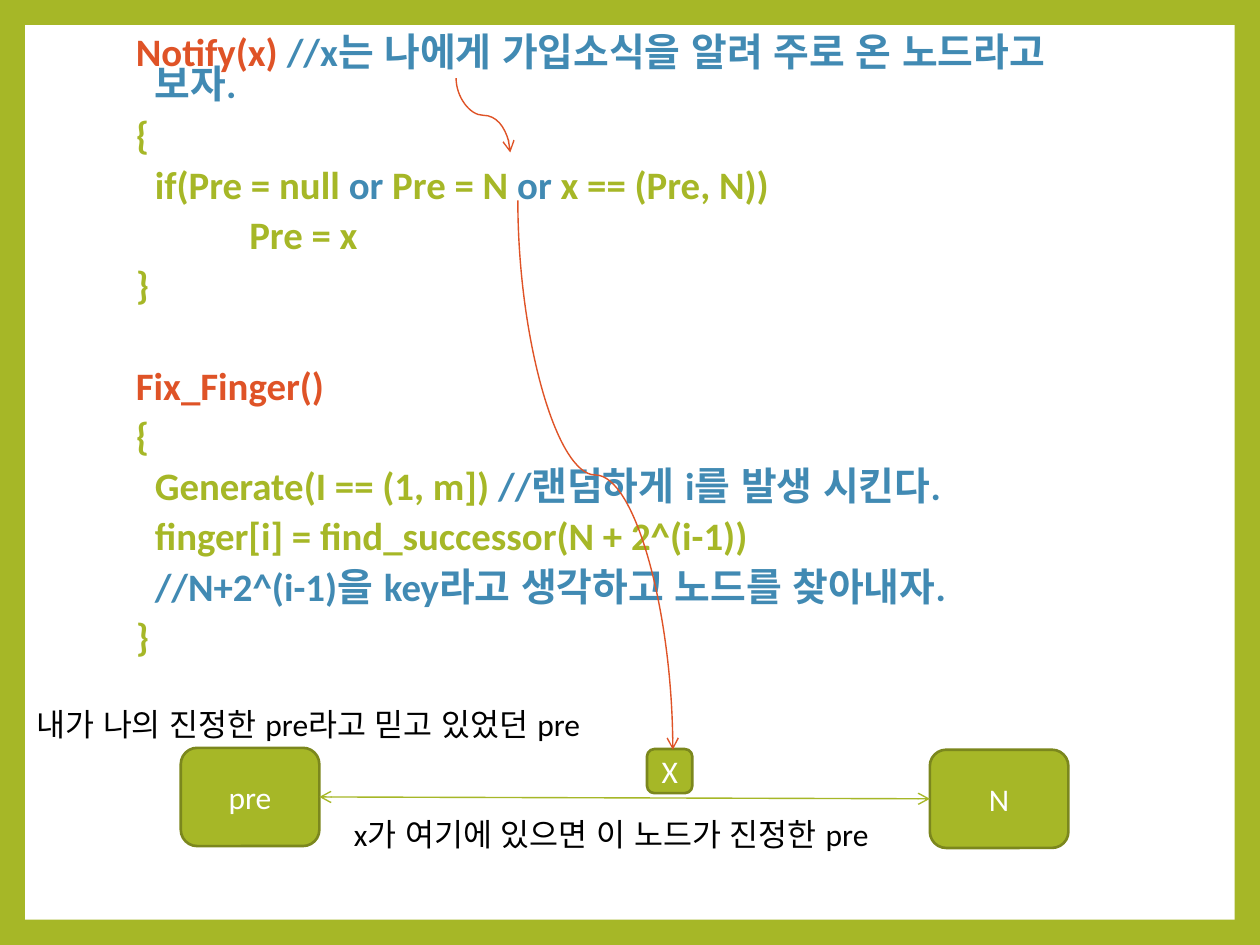
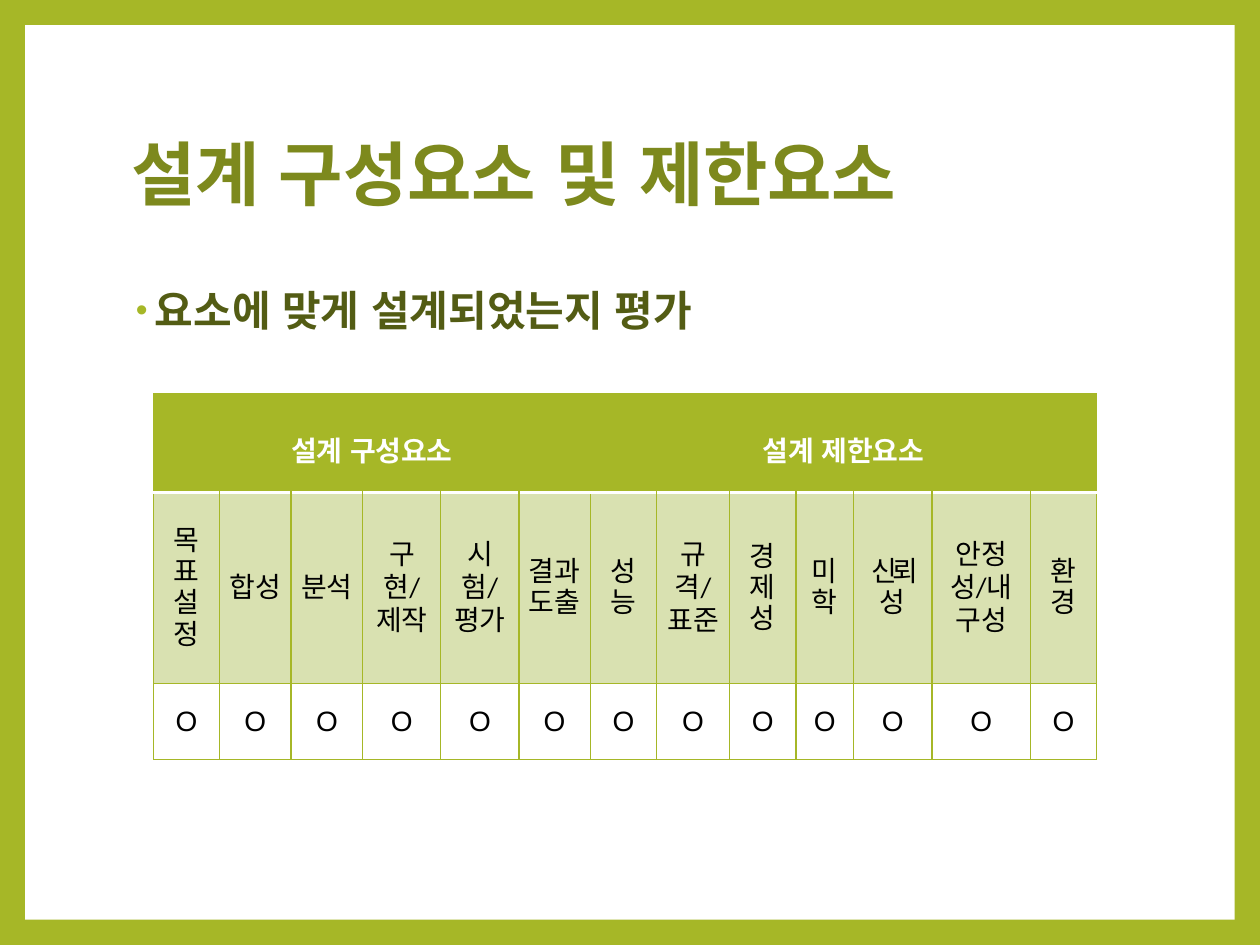
from lxml.etree import SubElement
from pptx import Presentation
from pptx.dml.color import RGBColor
from pptx.enum.shapes import MSO_CONNECTOR as Link, MSO_SHAPE as Preset
from pptx.enum.text import MSO_ANCHOR as Anchor, PP_ALIGN as Align
from pptx.oxml.ns import qn
from pptx.util import Emu, Inches, Pt

# Shared colours
GREEN, EDGE, TITLE, DARK = "A6B727", "7B871D", "7D891D", "535C14"
RED, BLUE, PALE, WHITE, BLACK = "DF5327", "418AB3", "D9E1B1", "FFFFFF", "000000"

# The grid: one unit is a tenth of an inch
COLUMNS, ROWS = 100, 75
TITLE_ONLY, BLANK = 5, 6
LEFT, BODY_WIDTH = 9.4, 81
HAIRLINE = 0.79


def ink(code):
    return RGBColor.from_string(code)


class Board:
    """Holds the style and the slide being drawn."""

    def __init__(self):
        self.deck = Presentation()
        self.deck.slide_width, self.deck.slide_height = Inches(10), Inches(7.5)
        self.page = None

    def x(self, columns):
        return Emu(round(self.deck.slide_width * columns / COLUMNS))

    def y(self, rows):
        return Emu(round(self.deck.slide_height * rows / ROWS))

    def area(self, left, top, width, height):
        return self.x(left), self.y(top), self.x(width), self.y(height)

    def new_page(self, layout):
        self.page = self.deck.slides.add_slide(self.deck.slide_layouts[layout])
        background = self.page.background.fill
        background.solid()
        background.fore_color.rgb = ink(GREEN)
        panel = self.shape(Preset.RECTANGLE, (2, 2, 96, 71), WHITE)
        # The white panel lies behind the title
        tree = self.page.shapes._spTree
        tree.insert(2, panel._element)

    def shape(self, preset, place, fill, edge=None):
        shape = self.page.shapes.add_shape(preset, *self.area(*place))
        shape.shadow.inherit = False
        shape.fill.solid()
        shape.fill.fore_color.rgb = ink(fill)
        if edge:
            shape.line.color.rgb = ink(edge)
            shape.line.width = Pt(1.5)
        else:
            shape.line.fill.background()
        return shape

    def style_span(self, span, size, color, bold=False, font="Calibri"):
        span.font.name, span.font.size, span.font.bold = font, Pt(size), bold
        span.font.color.rgb = ink(color)
        # Korean text and the spaces inside it
        SubElement(span.font._element, qn("a:ea"), typeface="Arial")

    def style(self, para, *look):
        for span in para.runs:
            self.style_span(span, *look)

    def node(self, name, *place):
        box = self.shape(Preset.ROUNDED_RECTANGLE, place, GREEN, EDGE)
        frame = box.text_frame
        frame.text, frame.vertical_anchor = name, Anchor.MIDDLE
        para = frame.paragraphs[0]
        para.alignment = Align.CENTER
        self.style(para, 18, WHITE)
        return box

    def text_frame(self, *place):
        frame = self.page.shapes.add_textbox(*self.area(*place)).text_frame
        frame.word_wrap = True
        return frame

    def label(self, text, *place):
        frame = self.text_frame(*place)
        frame.text = text
        self.style(frame.paragraphs[0], 18, BLACK)

    def title(self, text, *place):
        box = self.page.shapes.title
        box.left, box.top, box.width, box.height = self.area(*place)
        frame = box.text_frame
        frame.text, frame.vertical_anchor = text, Anchor.MIDDLE
        para = frame.paragraphs[0]
        para.alignment, para.line_spacing = Align.LEFT, 0.9
        self.style(para, 40, TITLE, True)

    def hang(self, para, spacing, before=10):
        para.line_spacing, para.space_before = spacing, Pt(before)
        properties = para._p.get_or_add_pPr()
        properties.set("marL", str(Inches(0.19)))
        properties.set("indent", str(-Inches(0.15)))
        properties.set("defTabSz", str(Inches(0.75)))
        return properties

    def code(self, lines, *place):
        """Each line is a list of (text, colour); an empty line becomes a gap."""
        frame = self.text_frame(*place)
        para, before = frame.paragraphs[0], 10
        for line in lines:
            if not line:
                before = 39
                continue
            if para.runs:
                para = frame.add_paragraph()
            self.hang(para, 0.7, before)
            before = 10
            for text, color in line:
                span = para.add_run()
                span.text = text
                self.style_span(span, 22.2, color, True)

    def bullet(self, text, *place):
        frame = self.text_frame(*place)
        frame.text = text
        para = frame.paragraphs[0]
        properties = self.hang(para, 0.9)
        tint = SubElement(properties, qn("a:buClr"))
        SubElement(tint, qn("a:srgbClr"), val=GREEN)
        SubElement(properties, qn("a:buSzPct"), val="80000")
        SubElement(properties, qn("a:buFont"), typeface="Arial")
        SubElement(properties, qn("a:buChar"), char="•")
        self.style(para, 24, DARK, True)

    def finish_line(self, line, color, ends):
        line.line.color.rgb = ink(color)
        line.line.width = Pt(HAIRLINE)
        properties = line._element.spPr
        outline = properties.find(qn("a:ln"))
        for end in ends:
            SubElement(outline, qn("a:" + end), type="arrow")
        SubElement(properties, qn("a:effectLst"))

    def join(self, first, second):
        """Double arrow from the right side of one node to the left of another."""
        line = self.page.shapes.add_connector(Link.STRAIGHT, 0, 0, 0, 0)
        line.begin_connect(first, 3)
        line.end_connect(second, 1)
        self.finish_line(line, GREEN, ("headEnd", "tailEnd"))

    def drop_curve(self, x1, y1, x2, y2):
        """S-curve that leaves and arrives vertically: a quarter-turned connector."""
        middle_x, middle_y = (x1 + x2) / 2, (y1 + y2) / 2
        half_drop, half_shift = (y2 - y1) / 2, (x2 - x1) / 2
        line = self.page.shapes.add_connector(
            Link.CURVE,
            self.x(middle_x + half_drop), self.y(middle_y - half_shift),
            self.x(middle_x - half_drop), self.y(middle_y + half_shift))
        line._element.spPr.find(qn("a:xfrm")).set("rot", str(270 * 60000))
        self.finish_line(line, RED, ("tailEnd",))

    def cell(self, cell, text, fill, color, borders, bold=False, font="Calibri"):
        cell.text, cell.vertical_anchor = text, Anchor.MIDDLE
        cell.margin_left = cell.margin_right = Inches(0.07)
        cell.margin_top = cell.margin_bottom = Inches(0.02)
        for para in cell.text_frame.paragraphs:
            para.alignment = Align.CENTER
            self.style(para, 16, color, bold, font)
        properties = cell._tc.get_or_add_tcPr()
        for side in "LRTB":
            tint, width = borders[side]
            line = SubElement(properties, qn("a:ln" + side), w=str(Pt(width)))
            paint = SubElement(line, qn("a:solidFill"))
            SubElement(paint, qn("a:srgbClr"), val=tint)
        cell.fill.solid()
        cell.fill.fore_color.rgb = ink(fill)

    def table(self, groups, names, mark, widths, heights, left, top):
        place = self.area(left, top, sum(widths), sum(heights))
        table = self.page.shapes.add_table(3, len(names), *place).table
        table.horz_banding = False
        for column, width in zip(table.columns, widths):
            column.width = self.x(width)
        for row, height in zip(table.rows, heights):
            row.height = self.y(height)

        thin, rule = (GREEN, HAIRLINE), (WHITE, 2)
        frame = dict.fromkeys("LRTB", thin)
        # Merged heading row
        start = 0
        for heading, span in groups:
            for index in range(start, start + span):
                self.cell(table.cell(0, index), heading if index == start else "",
                          GREEN, WHITE, {**frame, "B": rule}, bold=True)
            head = table.cell(0, start)
            head.merge(table.cell(0, start + span - 1))
            head.text_frame.paragraphs[0].line_spacing = 1.6
            start += span
        # Names and marks
        for index, name in enumerate(names):
            self.cell(table.cell(1, index), name, PALE, BLACK, {**frame, "T": rule})
            self.cell(table.cell(2, index), mark, WHITE, BLACK, frame, font="Arial")
        return table


def notify_page(board):
    board.new_page(BLANK)
    board.code([
        [("Notify(x) ", RED), ("//x는 나에게 가입소식을 알려 주로 온 노드라고 보자.", BLUE)],
        [("{", GREEN)],
        [("\tif(Pre = null ", GREEN), ("or", BLUE), (" Pre = N ", GREEN),
         ("or ", BLUE), ("x == (Pre, N))", GREEN)],
        [("\t\tPre = x", GREEN)],
        [("}", GREEN)],
        [],
        [("Fix_Finger()", RED)],
        [("{", GREEN)],
        [("\tGenerate(I == (1, m]) ", GREEN), ("//랜덤하게 i를 발생 시킨다.", BLUE)],
        [("\tfinger[i] = find_successor(N + 2^(i-1))", GREEN)],
        [("\t//N+2^(i-1)을 key라고 생각하고 노드를 찾아내자.", BLUE)],
        [("}", GREEN)],
    ], LEFT, 2.7, BODY_WIDTH, 52.7)

    # Ring nodes and their link
    board.drop_curve(36.2, 6.2, 40.5, 12.1)
    pre = board.node("pre", 14.35, 59.35, 11, 7.8)
    successor = board.node("N", 73.8, 59.5, 11, 7.8)
    board.join(pre, successor)
    board.node("X", 51.35, 59.45, 3.6, 3.5)
    board.label("내가 나의 진정한 pre라고 믿고 있었던 pre", 1.9, 55.5, 46.8, 4)
    board.label("x가 여기에 있으면 이 노드가 진정한 pre", 27.1, 64.2, 45.8, 4)
    board.drop_curve(41.1, 15.9, 53.4, 59.5)


def design_page(board):
    board.new_page(TITLE_ONLY)
    board.title("설계 구성요소 및 제한요소", LEFT, 6.7, BODY_WIDTH, 14.8)
    board.bullet("요소에 맞게 설계되었는지 평가", LEFT, 22.5, BODY_WIDTH, 44.2)

    # Design elements and constraints
    names = ["목표\n설정", "합성", "분석", "구현/제작", "시험/평가", "결과\n도출", "성능",
             "규격/표준", "경제성", "미학", "신뢰성", "안정성/내구성", "환경"]
    widths = [5.2, 5.7, 5.7, 6.2, 6.2, 5.65, 5.3, 5.75, 5.3, 4.55, 6.25, 7.8, 5.25]
    table = board.table([("설계 구성요소", 6), ("설계 제한요소", 7)], names, "O",
                        widths, [7.8, 15.2, 6.05], 12.2, 31.25)
    tight = table.cell(1, names.index("신뢰성")).text_frame.paragraphs[0].runs[0]
    tight.font._element.set("spc", "-230")


def main():
    board = Board()
    notify_page(board)
    design_page(board)
    board.deck.save("out.pptx")


if __name__ == "__main__":
    main()
